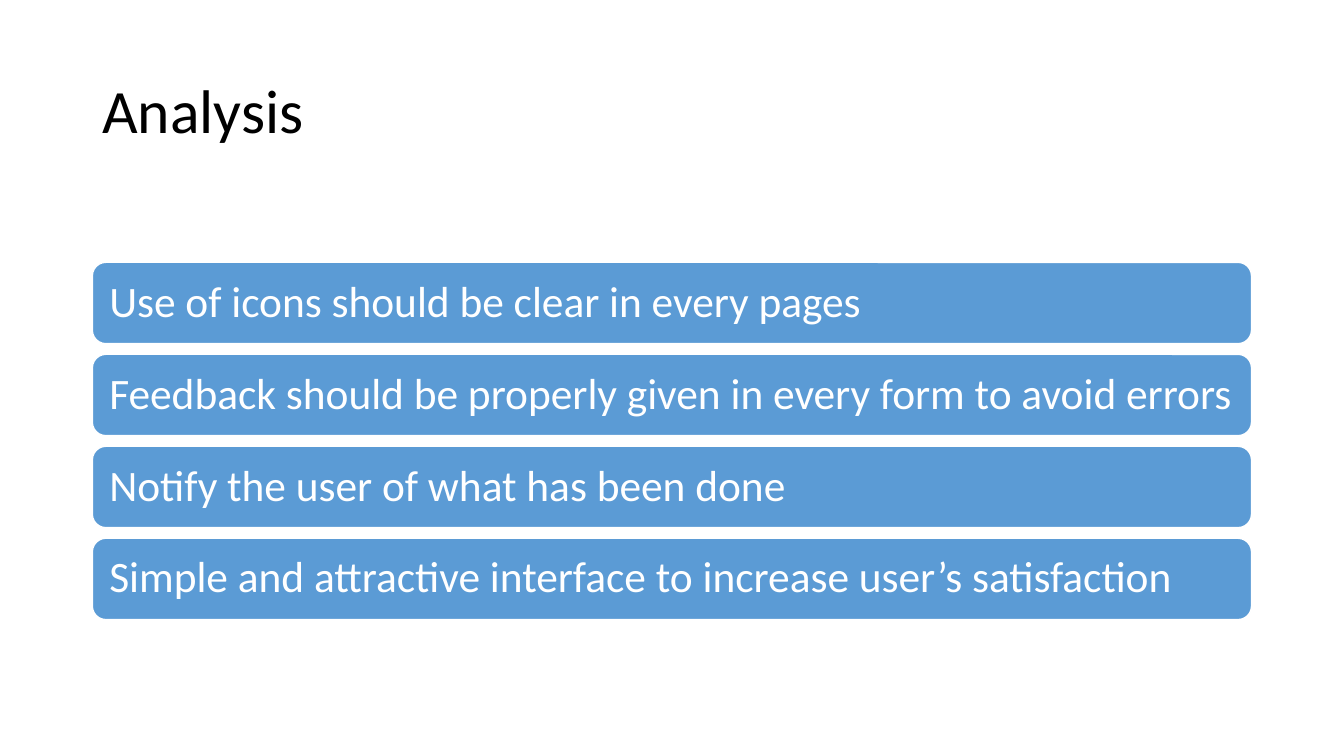
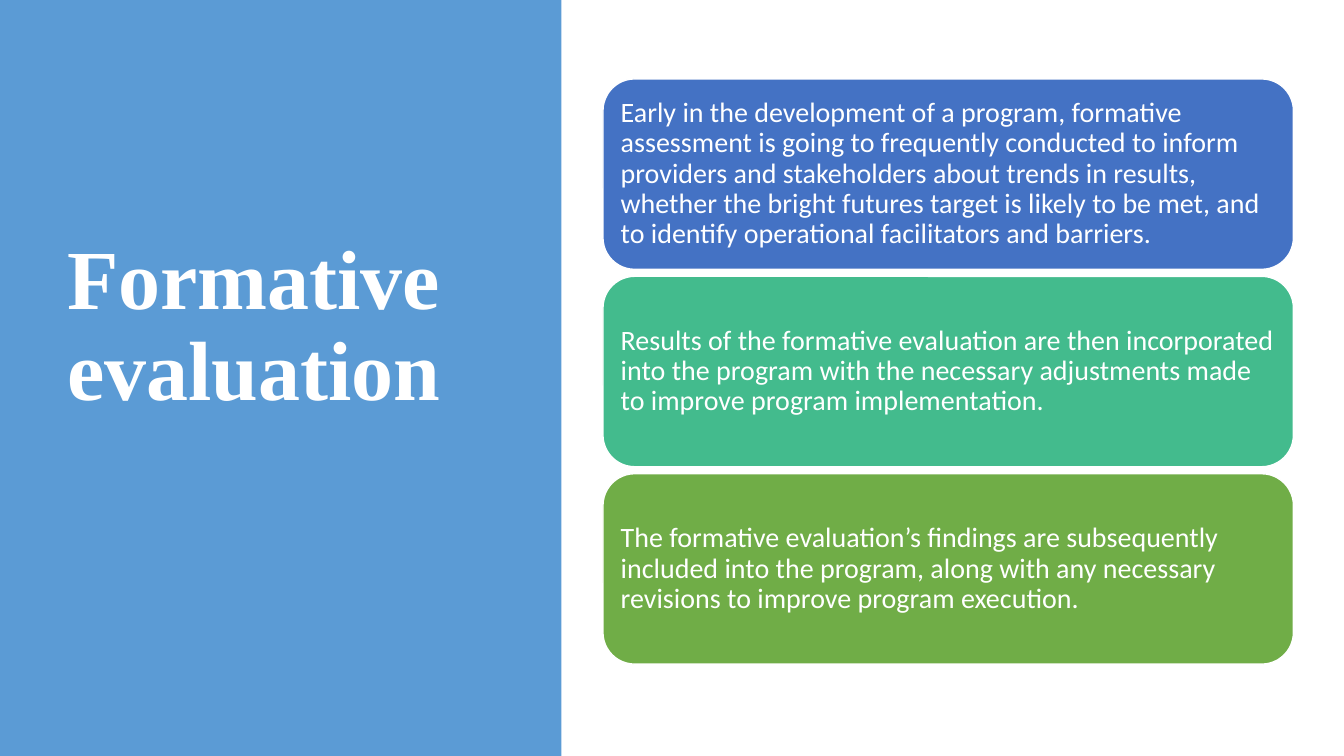
from pptx import Presentation
from pptx.dml.color import RGBColor
from pptx.enum.shapes import MSO_SHAPE
from pptx.enum.text import MSO_ANCHOR, PP_ALIGN
from pptx.util import Pt

COLORS = {
    "white": "FFFFFF",
    "black": "000000",
    "sky": "5B9BD5",
    "blue": "4472C4",
    "teal": "43BB8D",
    "green": "70AD47",
}
BODY_FONT = "Calibri"
ACCENT_FONT = "Times New Roman"
LINE_SPACING = 0.9
INSET_RATIO = 0.3  # card padding as a share of the text size
SLIDE_WIDTH, SLIDE_HEIGHT = 960, 540

ANALYSIS_POINTS = [
    ("Use of icons should be clear in every pages", "sky"),
    ("Feedback should be properly given in every form to avoid errors", "sky"),
    ("Notify the user of what has been done", "sky"),
    ("Simple and attractive interface to increase user’s satisfaction", "sky"),
]
EVALUATION_POINTS = [
    ("Early in the development of a program, formative assessment is going to "
     "frequently conducted to inform providers and stakeholders about trends in "
     "results, whether the bright futures target is likely to be met, and to "
     "identify operational facilitators and barriers.", "blue"),
    ("Results of the formative evaluation are then incorporated into the program "
     "with the necessary adjustments made to improve program implementation.", "teal"),
    ("The formative evaluation’s findings are subsequently included into the "
     "program, along with any necessary revisions to improve program execution.", "green"),
]


def rgb(name):
    return RGBColor.from_string(COLORS[name])


def write(frame, text, size, color, font=BODY_FONT, bold=False):
    frame.word_wrap = True
    frame.vertical_anchor = MSO_ANCHOR.MIDDLE
    para = frame.paragraphs[0]
    para.alignment = PP_ALIGN.LEFT
    para.line_spacing = LINE_SPACING
    span = para.add_run()
    span.text = text
    span.font.name = font
    span.font.size = Pt(size)
    span.font.bold = bold
    span.font.color.rgb = rgb(color)


def add_title(page, text, area, size, color, **style):
    box = page.shapes.add_textbox(*map(Pt, area))
    write(box.text_frame, text, size, color, **style)
    return box


def add_panel(page, kind, area, fill):
    panel = page.shapes.add_shape(kind, *map(Pt, area))
    panel.shadow.inherit = False
    panel.fill.solid()
    panel.fill.fore_color.rgb = rgb(fill)
    panel.line.fill.background()
    return panel


def add_cards(page, points, left, top, width, height, gap, size):
    """Stack one rounded card per point, from top to bottom."""
    for index, (text, fill) in enumerate(points):
        area = (left, top + index * (height + gap), width, height)
        card = add_panel(page, MSO_SHAPE.ROUNDED_RECTANGLE, area, fill)
        card.line.color.rgb = rgb("white")
        card.line.width = Pt(1)
        frame = card.text_frame
        inset = Pt(size * INSET_RATIO)
        frame.margin_left = frame.margin_right = inset
        frame.margin_top = frame.margin_bottom = inset
        write(frame, text, size, "white")


def build_analysis(page):
    add_title(page, "Analysis", (66, 28.75, 828, 104.4), 44, "black")
    add_cards(page, ANALYSIS_POINTS, left=66, top=187.4, width=828,
              height=58.1, gap=7.6, size=31)


def build_evaluation(page):
    add_panel(page, MSO_SHAPE.RECTANGLE, (0, 0, 401, SLIDE_HEIGHT), "sky")
    title = add_title(page, "Formative evaluation", (41, 49, 299.5, 433.4), 60,
                      "white", font=ACCENT_FONT, bold=True)
    title.text_frame.margin_bottom = Pt(67)  # lifts the title above the middle
    add_cards(page, EVALUATION_POINTS, left=430.7, top=56.4, width=493.2,
              height=136, gap=5, size=20)


def main():
    deck = Presentation()
    deck.slide_width, deck.slide_height = Pt(SLIDE_WIDTH), Pt(SLIDE_HEIGHT)
    blank = deck.slide_layouts[6]
    for build in (build_analysis, build_evaluation):
        build(deck.slides.add_slide(blank))
    deck.save("out.pptx")


if __name__ == "__main__":
    main()
